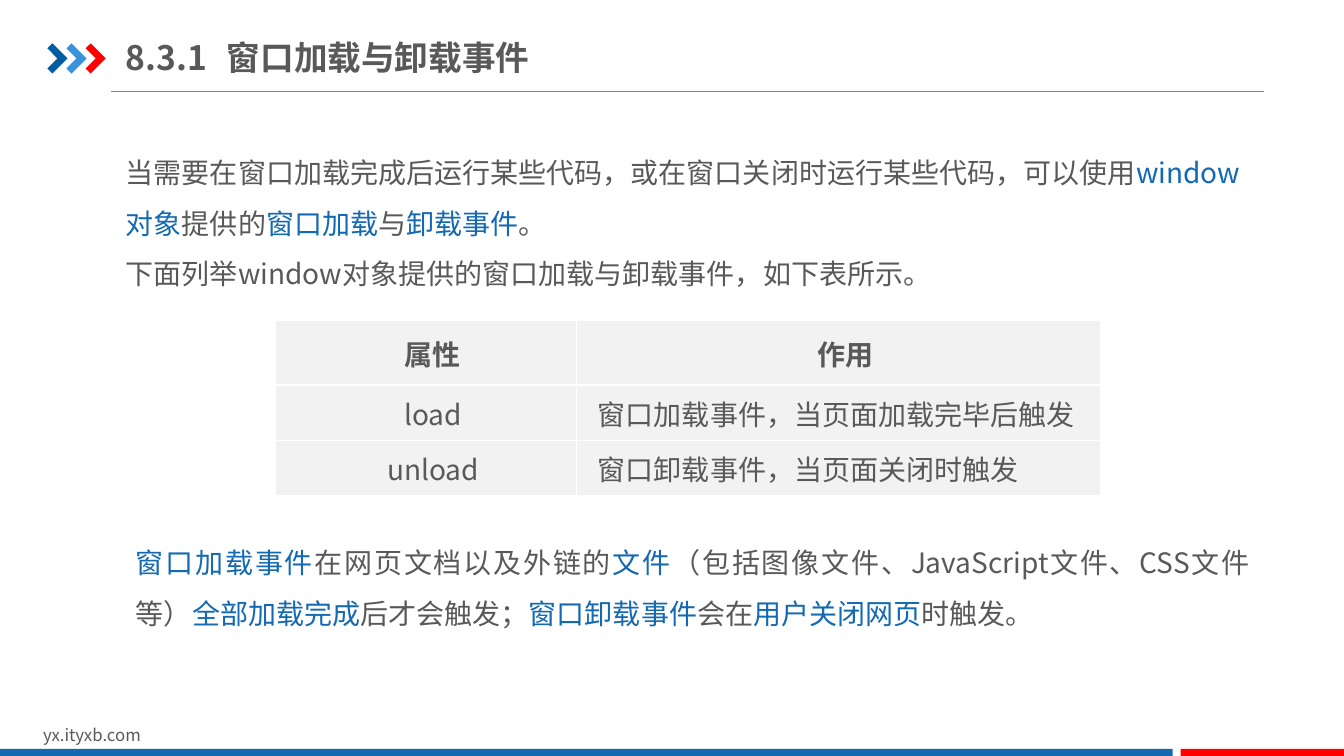
from pptx import Presentation
from pptx.dml.color import RGBColor
from pptx.enum import shapes, text
from pptx.oxml import parse_xml
from pptx.oxml.ns import nsdecls, qn
from pptx.util import Inches, Pt
from lxml import etree

FONT = "Noto Sans CJK SC"
GRAY, BLUE, RED, WHITE = "595959", "1369B2", "FF0000", "FFFFFF"
MID = text.MSO_ANCHOR.MIDDLE
CENTER, JUST, LEFT = (text.PP_ALIGN.CENTER, text.PP_ALIGN.JUSTIFY,
                      text.PP_ALIGN.LEFT)


def color(code):
    return RGBColor.from_string(code)


def style(run, size, code=GRAY, bold=False):
    font = run.font
    font.size, font.bold, font.name = Pt(size), bold, FONT
    font.color.rgb = color(code)
    east = etree.SubElement(run._r.get_or_add_rPr(), qn("a:ea"))
    east.set("typeface", FONT)


def paint(shape, code):
    shape.fill.solid()
    shape.fill.fore_color.rgb = color(code)
    shape.line.fill.background()
    shape.shadow.inherit = False


def add_text(slide, box, paras, size=20, bold=False, align=LEFT, space=1.0):
    frame = slide.shapes.add_textbox(*map(Inches, box)).text_frame
    frame.word_wrap = True
    for i, line in enumerate(paras):
        para = frame.add_paragraph() if i else frame.paragraphs[0]
        para.alignment, para.line_spacing = align, space
        for j, part in enumerate(line.split("*")):
            if part:
                run = para.add_run()
                run.text = part
                style(run, size, BLUE if j % 2 else GRAY, bold)
    return frame


def add_arrows(slide, left, top):
    for i, code in enumerate(("005DA2", "3992DB", RED)):
        x = left + i * 0.19
        pts = [(0, 0.05), (0.05, 0), (0.2, 0.15), (0.05, 0.3),
               (0, 0.25), (0.1, 0.15)]
        pts = [(Inches(x + dx), Inches(top + dy)) for dx, dy in pts]
        pen = slide.shapes.build_freeform(*pts[0])
        pen.add_line_segments(pts[1:], close=True)
        paint(pen.convert_to_shape(), code)


def add_head(slide, left, top, width):
    add_arrows(slide, left, top + 0.14)
    rule = slide.shapes.add_connector(
        shapes.MSO_CONNECTOR.STRAIGHT, Inches(left + 0.63),
        Inches(top + 0.62), Inches(left + width), Inches(top + 0.62))
    rule.line.color.rgb = color("808080")
    rule.line.width = Pt(0.75)
    etree.SubElement(rule._element.spPr, qn("a:effectLst"))
    frame = add_text(slide, (left + 0.78, top, 4.26, 0.55),
                     ["8.3.1\t窗口加载与卸载事件"], 24, True)
    frame.margin_left = frame.margin_right = 0
    frame.margin_top = frame.margin_bottom = Inches(0.07)
    frame.vertical_anchor = MID


def add_foot(slide, top, width):
    add_text(slide, (0.33, top, 3.18, 0.3), ["yx.ityxb.com"], 12)
    split = 11.63
    for x, wide, code in ((0, split, BLUE),
                          (split + 0.08, width - split - 0.08, RED)):
        bar = slide.shapes.add_shape(
            shapes.MSO_SHAPE.RECTANGLE, Inches(x), Inches(top + 0.29),
            Inches(wide), Inches(0.09))
        paint(bar, code)


def fill_cell(cell, words, bold, align):
    cell.text_frame.text = words
    cell.fill.solid()
    cell.fill.fore_color.rgb = color("F2F2F2")
    cell.vertical_anchor = MID
    cell.margin_left = cell.margin_right = Inches(0.07)
    cell.margin_top = cell.margin_bottom = 0
    para = cell.text_frame.paragraphs[0]
    para.alignment = align
    props = para._p.get_or_add_pPr()
    props.set("marL", "0")
    props.set("indent", str(Inches(0.14)))
    style(para.runs[0], 20, GRAY, bold)
    for i, side in enumerate("LRTB"):
        edge = parse_xml(
            f'<a:ln{side} {nsdecls("a")} w="12700"><a:solidFill>'
            f'<a:srgbClr val="{WHITE}"/></a:solidFill></a:ln{side}>')
        cell._tc.get_or_add_tcPr().insert(i, edge)


def add_grid(slide, left, top):
    rows = [("属性", "作用"),
            ("load", "窗口加载事件，当页面加载完毕后触发"),
            ("unload", "窗口卸载事件，当页面关闭时触发")]
    wides, highs = (2.99, 5.2), (0.64, 0.55, 0.55)
    grid = slide.shapes.add_table(
        len(rows), len(wides), Inches(left), Inches(top),
        Inches(sum(wides)), Inches(sum(highs))).table
    grid.first_row = grid.horz_banding = False
    for col, wide in zip(grid.columns, wides):
        col.width = Inches(wide)
    for r, row in enumerate(rows):
        grid.rows[r].height = Inches(highs[r])
        for c, words in enumerate(row):
            fill_cell(grid.cell(r, c), words, r == 0,
                      LEFT if r and c else CENTER)


def main():
    deck = Presentation()
    deck.slide_width, deck.slide_height = Inches(13.33), Inches(7.5)
    slide = deck.slides.add_slide(deck.slide_layouts[6])
    add_head(slide, 0.47, 0.29, 12.07)
    add_foot(slide, 7.14, 13.33)
    add_text(slide, (1.15, 1.33, 11.34, 1.62), [
        "当需要在窗口加载完成后运行某些代码，或在窗口关闭时运行某些代码，可以使用"
        "*window对象*提供的*窗口加载*与*卸载事件*。",
        "下面列举window对象提供的窗口加载与卸载事件，如下表所示。"], space=1.5)
    add_grid(slide, 2.73, 3.18)
    add_text(slide, (1.25, 5.2, 11.24, 1.11), [
        "*窗口加载事件*在网页文档以及外链的*文件*（包括图像文件、JavaScript文件、"
        "CSS文件等）*全部加载完成*后才会触发；*窗口卸载事件*会在*用户关闭网页*"
        "时触发。"], align=JUST, space=1.5)
    deck.save("out.pptx")


if __name__ == "__main__":
    main()
